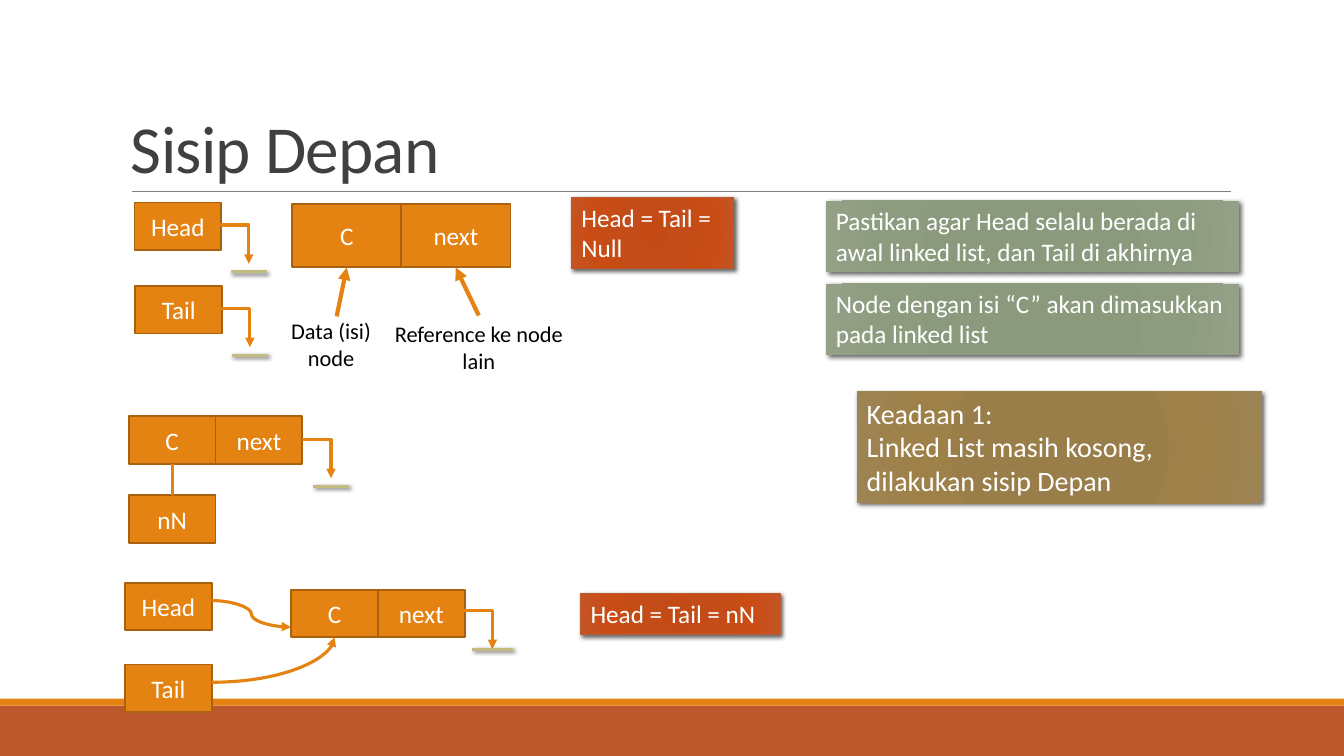
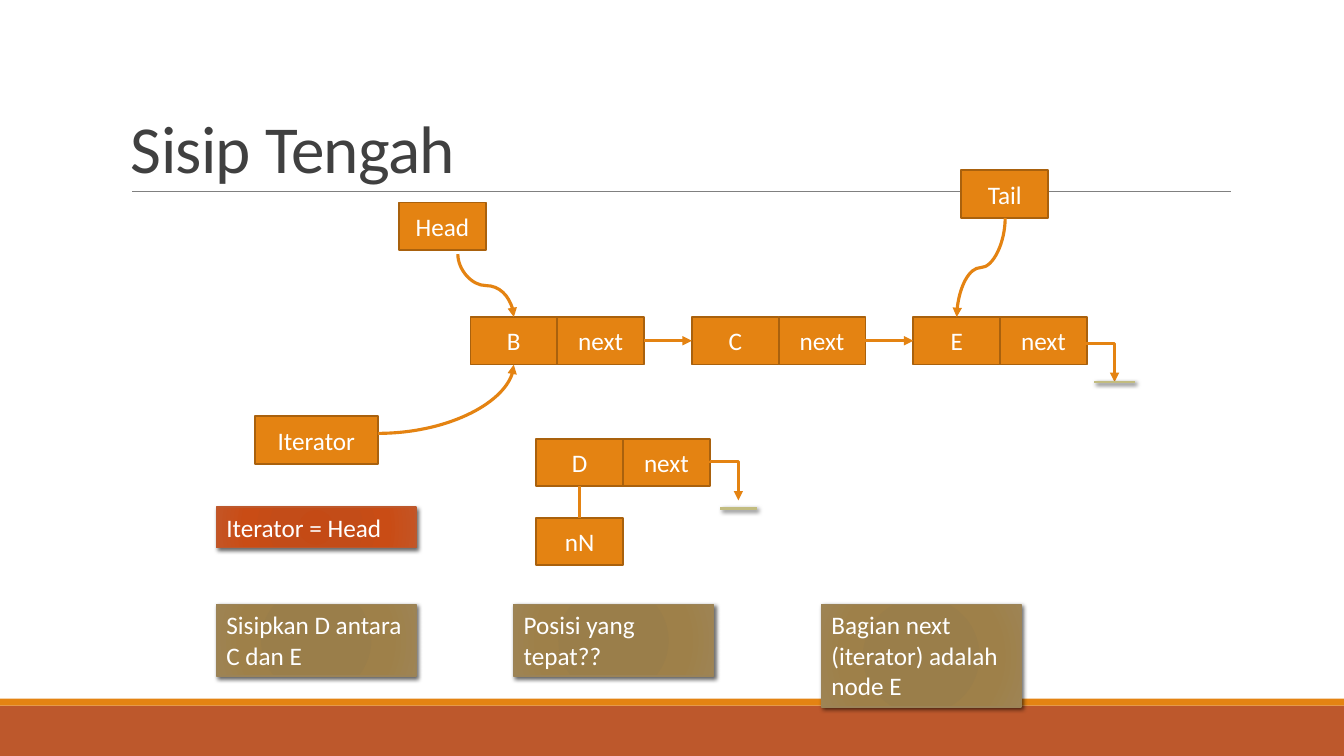
from lxml import etree
from pptx import Presentation
from pptx.dml.color import RGBColor
from pptx.enum import shapes, text
from pptx.oxml.ns import qn
from pptx.util import Pt

# Shared style
FONT = "Calibri"
WHITE = RGBColor(0xFF, 0xFF, 0xFF)
BLACK = RGBColor(0x00, 0x00, 0x00)
TITLE_GREY = RGBColor(0x40, 0x40, 0x40)
RULE_GREY = RGBColor(0x80, 0x80, 0x80)
ORANGE = RGBColor(0xE4, 0x83, 0x12)
DARK_ORANGE = RGBColor(0xA9, 0x61, 0x0D)
RUST = RGBColor(0xBD, 0x58, 0x2C)
TAN = RGBColor(0x9B, 0x83, 0x57)
NULL_GREEN = RGBColor(0xC2, 0xBC, 0x80)

# Note gradients, with stops at GRADIENT_STOPS percent
GRADIENT_STOPS = (0, 34, 70, 100)
RED_NOTE = [RGBColor(0xC4, 0x4A, 0x15), RGBColor(0xC3, 0x4C, 0x18),
            RGBColor(0xC9, 0x4C, 0x15), RGBColor(0xC4, 0x55, 0x25)]
GREEN_NOTE = [RGBColor(0x8A, 0x98, 0x7B), RGBColor(0x8B, 0x99, 0x7D),
              RGBColor(0x8D, 0x9C, 0x7E), RGBColor(0x94, 0xA1, 0x87)]
BROWN_NOTE = [RGBColor(0x9A, 0x7D, 0x48), RGBColor(0x9A, 0x7E, 0x4A),
              RGBColor(0x9E, 0x80, 0x49), RGBColor(0x9E, 0x84, 0x54)]

SLIDE_W, SLIDE_H = 960, 540
CELL_W, CELL_H = 62, 34
NODE_W = 2 * CELL_W
STRAIGHT = shapes.MSO_CONNECTOR.STRAIGHT
ELBOW = shapes.MSO_CONNECTOR.ELBOW
CURVE = shapes.MSO_CONNECTOR.CURVE
CENTER = text.PP_ALIGN.CENTER
LEFT = text.PP_ALIGN.LEFT


# XML helpers
def add_xml(parent, tag, **attributes):
    child = etree.SubElement(parent, qn(tag))
    for name, value in attributes.items():
        child.set(name, str(value))
    return child


def add_shadow(effects, blur=3):
    shadow = add_xml(effects, "a:outerShdw", blurRad=Pt(blur), dist=Pt(2),
                     dir=45 * 60000, algn="tl", rotWithShape=0)
    color = add_xml(shadow, "a:srgbClr", val=BLACK)
    add_xml(color, "a:alpha", val=60000)


def fill_radial(shape, colors):
    shape.fill.background()
    properties = shape._element.spPr
    gradient = etree.Element(qn("a:gradFill"), rotWithShape="1")
    stops = add_xml(gradient, "a:gsLst")
    for percent, color in zip(GRADIENT_STOPS, colors):
        stop = add_xml(stops, "a:gs", pos=percent * 1000)
        add_xml(stop, "a:srgbClr", val=color)
    circle = add_xml(gradient, "a:path", path="circle")
    add_xml(circle, "a:fillToRect", l=100000, t=100000, r=100000, b=100000)
    properties.replace(properties.find(qn("a:noFill")), gradient)


# Text and boxes
def write(shape, lines, size, color, align=LEFT, anchor=text.MSO_ANCHOR.TOP):
    frame = shape.text_frame
    frame.word_wrap = True
    frame.vertical_anchor = anchor
    for index, line in enumerate(lines):
        paragraph = frame.paragraphs[0] if index == 0 else frame.add_paragraph()
        paragraph.alignment = align
        run = paragraph.add_run()
        run.text = line
        run.font.name = FONT
        run.font.size = Pt(size)
        run.font.color.rgb = color
    return frame


def add_text(slide, x, y, w, h, content, size, color, **layout):
    box = slide.shapes.add_textbox(Pt(x), Pt(y), Pt(w), Pt(h))
    return write(box, [content], size, color, **layout)


def add_rect(slide, x, y, w, h, fill=None, line=None, line_width=1):
    rect = slide.shapes.add_shape(
        shapes.MSO_SHAPE.RECTANGLE, Pt(x), Pt(y), Pt(w), Pt(h))
    rect.shadow.inherit = False
    if fill is not None:
        rect.fill.solid()
        rect.fill.fore_color.rgb = fill
    if line is None:
        rect.line.fill.background()
    else:
        rect.line.color.rgb = line
        rect.line.width = Pt(line_width)
    return rect


def add_cell(slide, x, y, label, w=CELL_W, h=CELL_H):
    cell = add_rect(slide, x, y, w, h, ORANGE, DARK_ORANGE, 1.25)
    write(cell, [label], 18, WHITE, CENTER, text.MSO_ANCHOR.MIDDLE)


def add_node(slide, x, y, label, w=CELL_W, h=CELL_H):
    for column, part in enumerate((label, "next")):
        add_cell(slide, x + column * w, y, part, w, h)


def add_note(slide, x, y, w, h, lines, colors, line=None, size=18, blur=3):
    note = add_rect(slide, x, y, w, h, line=line)
    fill_radial(note, colors)
    add_shadow(note._element.spPr.find(qn("a:effectLst")), blur)
    write(note, lines, size, WHITE)


# Lines and arrows
def add_line(slide, start, end, kind=STRAIGHT, color=ORANGE, width=2.25,
             arrow=False):
    line = slide.shapes.add_connector(
        kind, *(Pt(length) for length in (*start, *end)))
    line.line.color.rgb = color
    line.line.width = Pt(width)
    properties = line._element.spPr
    if arrow:
        add_xml(properties.find(qn("a:ln")), "a:tailEnd", type="triangle")
    add_xml(properties, "a:effectLst")
    return properties


def add_quarter_curve(slide, start, end):
    """Leaves sideways and arrives vertically."""
    properties = add_line(slide, start, end, CURVE, arrow=True)
    properties.find(qn("a:prstGeom")).set("prst", "curvedConnector2")


def add_falling_arrow(slide, start, end, kind, bend):
    """Leaves and arrives vertically; bend is a share of the drop."""
    (x1, y1), (x2, y2) = start, end
    drop, shift = y2 - y1, abs(x2 - x1)
    left, top = (x1 + x2 - drop) / 2, (y1 + y2 - shift) / 2
    properties = add_line(slide, (left, top), (left + drop, top + shift),
                          kind, arrow=True)
    frame = properties.find(qn("a:xfrm"))
    frame.set("rot", str((270 if x2 > x1 else 90) * 60000))
    if x2 > x1:
        frame.set("flipH", "1")
    adjustments = properties.find(qn("a:prstGeom")).find(qn("a:avLst"))
    add_xml(adjustments, "a:gd", name="adj1",
            fmla=f"val {round(bend * 100000)}")


def add_null_pointer(slide, x, y, gap=5.8, bar=26):
    tip_x, tip_y = x + 19.7, y + 26.7
    add_falling_arrow(slide, (x, y), (tip_x, tip_y), ELBOW, -0.037)
    bar_y = tip_y + gap
    properties = add_line(slide, (tip_x - bar / 2, bar_y),
                          (tip_x + bar / 2, bar_y), color=NULL_GREEN, width=2)
    add_shadow(properties.find(qn("a:effectLst")))


def add_new_node(slide, x, y, label):
    """A loose node, its nN pointer and its null end."""
    add_node(slide, x, y, label)
    add_cell(slide, x, y + 56.5, "nN")
    middle = x + CELL_W / 2
    add_line(slide, (middle, y + 56.5), (middle, y + CELL_H))
    add_null_pointer(slide, x + NODE_W + 0.7, y + CELL_H / 2 + 0.5)


# Title, rule and footer bands
def add_titled_slide(deck, title):
    slide = deck.slides.add_slide(deck.slide_layouts[6])
    add_rect(slide, 0, 504, SLIDE_W, 36, RUST)
    add_rect(slide, 0, 499, SLIDE_W, 5, ORANGE)
    add_line(slide, (94.5, 136.8), (879, 136.8), color=RULE_GREY, width=0.5)
    frame = add_text(slide, 86.4, 22.5, 792, 114.5, title, 48, TITLE_GREY,
                     anchor=text.MSO_ANCHOR.BOTTOM)
    heading = frame.paragraphs[0]
    heading.line_spacing = 0.85
    heading.runs[0].font._element.set("spc", "-50")
    return slide


def build_front_insert(deck):
    slide = add_titled_slide(deck, "Sisip Depan")

    # Empty list
    for label, x, y in (("Head", 96, 144.7), ("Tail", 96.7, 204.3)):
        add_cell(slide, x, y, label)
        add_null_pointer(slide, x + CELL_W, y + CELL_H / 2)

    # Anatomy of a node
    add_node(slide, 208.7, 145.6, "C", 78, 45.2)
    captions = (
        ("Data (isi) node", 186.5, 223.2, 100, (240.5, 226), (247.7, 191)),
        ("Reference ke node lain", 272, 225.4, 140, (342, 225.4), (325.5, 191)),
    )
    for caption, x, y, w, start, end in captions:
        add_text(slide, x, y, w, 61, caption, 16, BLACK, align=CENTER)
        add_line(slide, start, end, width=3, arrow=True)

    # New node, then the list that holds it
    add_new_node(slide, 92, 297.3, "C")
    add_cell(slide, 89.3, 416.2, "Head")
    add_cell(slide, 89.3, 474.7, "Tail")
    add_node(slide, 208, 421.2, "C")
    add_line(slide, (151.2, 429), (208, 448), CURVE, arrow=True)
    add_quarter_curve(slide, (151.2, 487.4), (239, 455.2))
    add_null_pointer(slide, 332, 437, gap=0, bar=29)

    # Notes
    add_note(slide, 408.2, 141, 116, 51, ["Head = Tail = Null"], RED_NOTE, RUST)
    add_note(slide, 414.7, 424, 142.5, 29, ["Head = Tail = nN"], RED_NOTE, RUST)
    advice = (
        "Pastikan agar Head selalu berada di awal linked list, dan Tail di akhirnya",
        "Node dengan isi “C” akan dimasukkan pada linked list",
    )
    for row, line in enumerate(advice):
        add_note(slide, 590, 143.3 + row * 59.2, 295, 51, [line], GREEN_NOTE,
                 blur=3.5)
    add_note(slide, 612, 279.4, 289.5, 80,
             ["Keadaan 1:", "Linked List masih kosong, dilakukan sisip Depan"],
             BROWN_NOTE, size=20, blur=3.5)


def build_middle_insert(deck):
    slide = add_titled_slide(deck, "Sisip Tengah")

    # Linked nodes
    first_x, step, node_y = 336, 158.2, 226.5
    for index, label in enumerate("BCE"):
        x = first_x + index * step
        add_node(slide, x, node_y, label)
        if index:
            add_line(slide, (x - step + NODE_W, 243.4), (x, 243.4), arrow=True)
    add_null_pointer(slide, x + NODE_W, 246.2, gap=0, bar=29)

    # Pointers into the list
    add_cell(slide, 285, 144.7, "Head")
    add_falling_arrow(slide, (327, 181.5), (367, node_y), CURVE, 0.5)
    add_cell(slide, 686.7, 121.7, "Tail")
    add_falling_arrow(slide, (718, 155.7), (683.4, node_y), CURVE, 0.5)
    add_cell(slide, 182, 297.3, "Iterator", w=88)
    add_quarter_curve(slide, (270, 309.6), (367, node_y + CELL_H))

    # Node to insert
    add_new_node(slide, 383, 313.3, "D")

    # Notes
    add_note(slide, 154.6, 362.2, 142.5, 29, ["Iterator = Head"], RED_NOTE, RUST)
    steps = (
        ("Sisipkan D antara C dan E", 154.6, 51),
        ("Posisi yang tepat??", 367, 51),
        ("Bagian next (iterator) adalah node E", 586.8, 73),
    )
    for line, x, h in steps:
        add_note(slide, x, 432, 142.5, h, [line], BROWN_NOTE, TAN)


def main():
    deck = Presentation()
    deck.slide_width, deck.slide_height = Pt(SLIDE_W), Pt(SLIDE_H)
    build_front_insert(deck)
    build_middle_insert(deck)
    deck.save("out.pptx")


if __name__ == "__main__":
    main()
